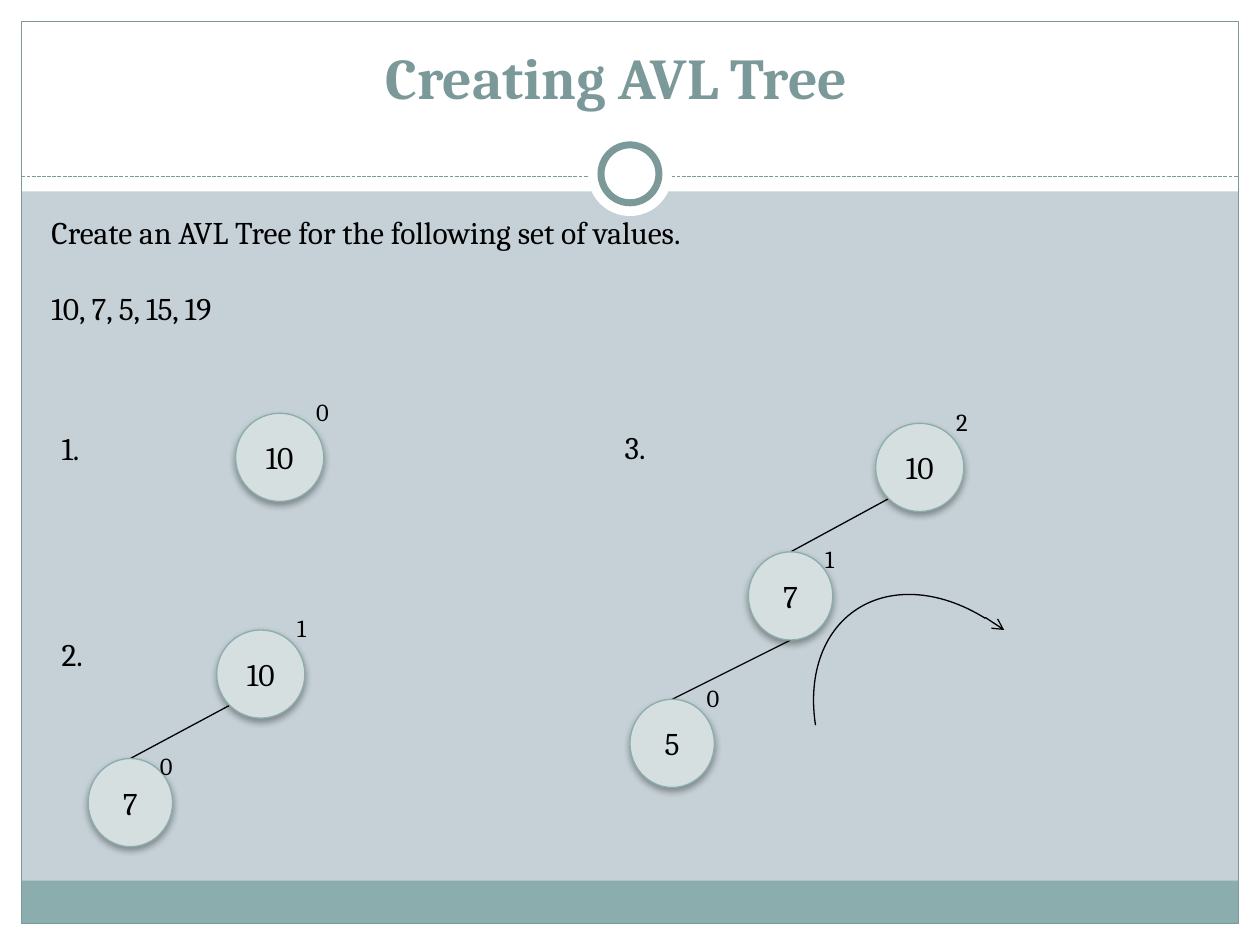
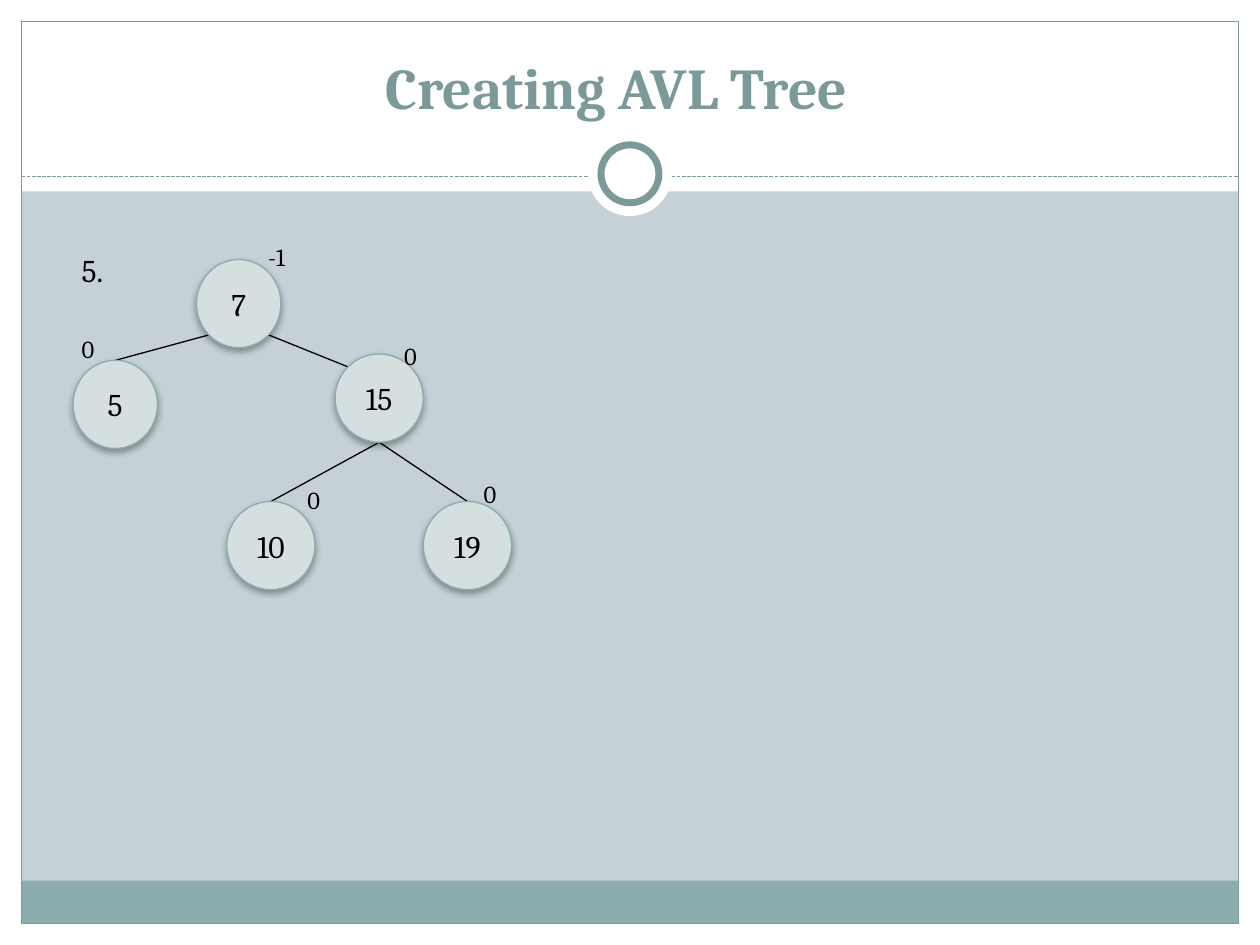
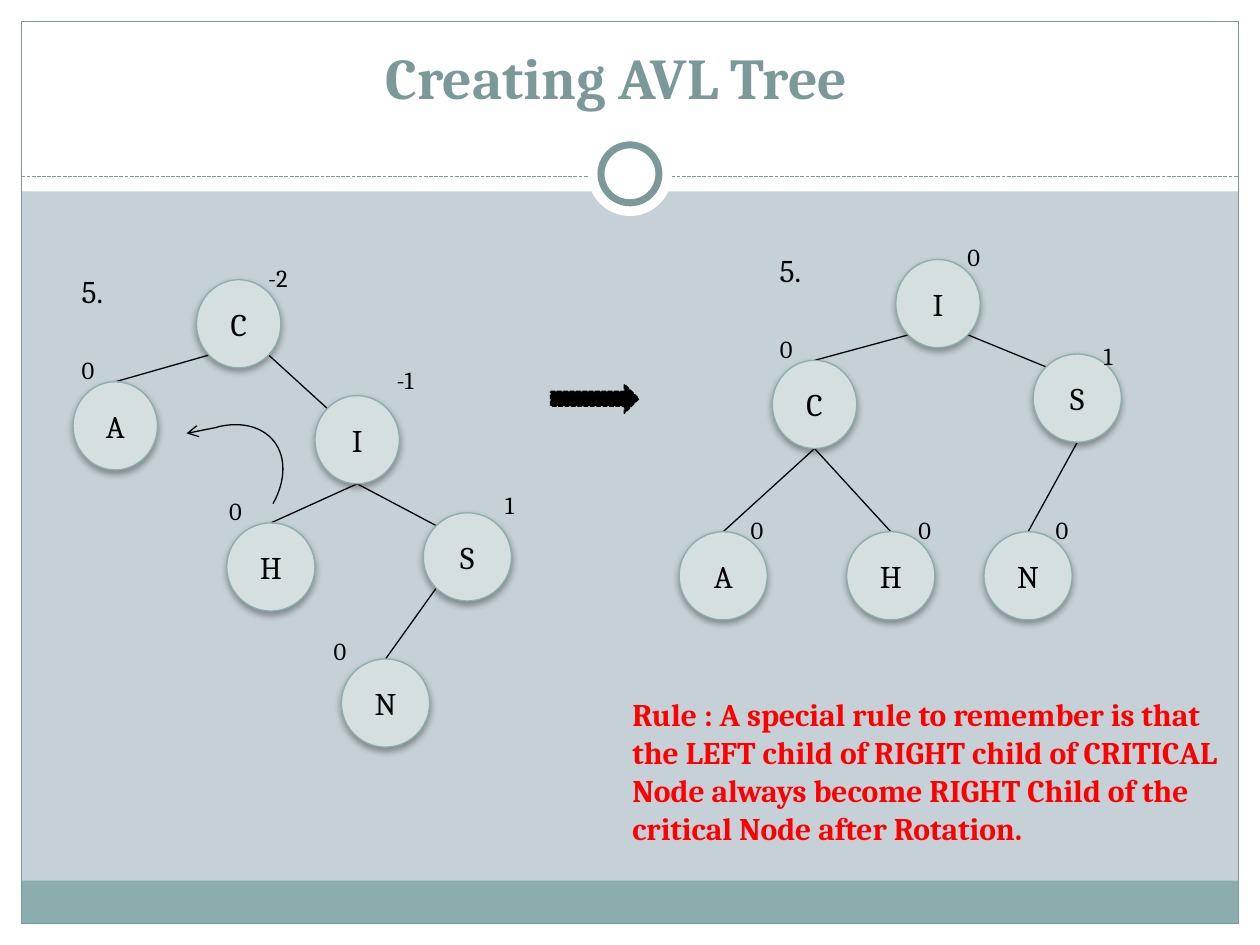
from collections import namedtuple

from lxml.etree import SubElement
from pptx import Presentation
from pptx.dml.color import RGBColor
from pptx.enum.dml import MSO_LINE
from pptx.enum.shapes import MSO_CONNECTOR, MSO_SHAPE
from pptx.enum.text import MSO_ANCHOR, MSO_AUTO_SIZE, PP_ALIGN
from pptx.oxml.ns import qn
from pptx.util import Inches, Pt

COLUMNS, ROWS = 100, 75
FONT = "Cambria"
WHITE, BLACK, RED = "FFFFFF", "000000", "FF0000"
GROUND, BAND, ACCENT, NODE_FILL = "C5D1D7", "8CADAE", "7C999A", "D5DFDF"
HAIRLINE = 0.75
NODE_HEIGHT = 7

Box = namedtuple("Box", "left top width height")
Node = namedtuple("Node", "left top width badge shift", defaults=[(5.4, -1.8)])

TOP, BOTTOM = (0, -1), (0, 1)
LOWER_LEFT, LOWER_RIGHT, UPPER_LEFT = (-0.71, 0.71), (0.71, 0.71), (-0.71, -0.71)


def cell(count):
    return Inches(count / 10)


def color(value):
    return RGBColor.from_string(value)


def apply(target, values):
    for name, value in values.items():
        setattr(target, name, value)


def style_line(line, line_color, weight, dash=None):
    line.color.rgb = color(line_color)
    line.width = Pt(weight)
    if dash:
        line.dash_style = dash


def add_figure(slide, kind, box, fill=None, line=None, weight=HAIRLINE, dash=None):
    shape = slide.shapes.add_shape(kind, *map(cell, box))
    shape.shadow.inherit = False
    if fill:
        shape.fill.solid()
        shape.fill.fore_color.rgb = color(fill)
    else:
        shape.fill.background()
    if line:
        style_line(shape.line, line, weight, dash)
    else:
        shape.line.fill.background()
    return shape


def add_line(slide, start, end, line=BLACK, dash=None, arrow=False):
    connector = slide.shapes.add_connector(
        MSO_CONNECTOR.STRAIGHT, *map(cell, (*start, *end)))
    style_line(connector.line, line, HAIRLINE, dash)
    properties = connector._element.spPr
    SubElement(properties, qn("a:effectLst"))
    if arrow:
        SubElement(properties.find(qn("a:ln")), qn("a:tailEnd"), type="arrow")


def write(shape, lines, size, text_color=BLACK, bold=False,
          align=PP_ALIGN.LEFT, gap=0, **frame_values):
    frame = shape.text_frame
    apply(frame, frame_values)
    for index, text in enumerate(lines):
        paragraph = frame.add_paragraph() if index else frame.paragraphs[0]
        paragraph.text = text
        paragraph.alignment = align
        if index:
            paragraph.space_before = Pt(gap)
        apply(paragraph.font, {"name": FONT, "size": Pt(size), "bold": bold})
        paragraph.font.color.rgb = color(text_color)


def add_text(slide, box, lines, size, word_wrap=True, **values):
    text_box = slide.shapes.add_textbox(*map(cell, box))
    write(text_box, lines, size, word_wrap=word_wrap, **values)


def add_tag(slide, left, top, text, size):
    width, height = (4, 4) if size == 18 else (2.8 + 0.4 * len(text), 3.4)
    add_text(slide, Box(left, top, width, height), [text], size,
             word_wrap=False, auto_size=MSO_AUTO_SIZE.SHAPE_TO_FIT_TEXT)


def add_soft_shadow(shape):
    effects = shape._element.spPr.find(qn("a:effectLst"))
    shadow = SubElement(effects, qn("a:outerShdw"), blurRad=str(Pt(4)),
                        dist=str(Pt(2)), dir="5400000", rotWithShape="0")
    tint = SubElement(shadow, qn("a:srgbClr"), val=BLACK)
    SubElement(tint, qn("a:alpha"), val="35000")


def add_node(slide, text, box):
    shape = add_figure(slide, MSO_SHAPE.OVAL, box, NODE_FILL, BAND)
    add_soft_shadow(shape)
    write(shape, [text], 18, align=PP_ALIGN.CENTER, word_wrap=True,
          vertical_anchor=MSO_ANCHOR.MIDDLE)


def site(box, direction):
    across, down = direction
    return (box.left + box.width * (1 + across) / 2,
            box.top + box.height * (1 + down) / 2)


def add_tree(slide, left, top, step, step_at, nodes, edges=()):
    add_tag(slide, left + step_at[0], top + step_at[1], step, 18)
    boxes = {name: Box(left + node.left, top + node.top, node.width, NODE_HEIGHT)
             for name, node in nodes.items()}
    for parent, parent_site, child, child_site in edges:
        add_line(slide, site(boxes[parent], parent_site),
                 site(boxes[child], child_site))
    for name, node in nodes.items():
        box = boxes[name]
        add_node(slide, name, box)
        add_tag(slide, box.left + node.shift[0], box.top + node.shift[1],
                node.badge, 14)


def add_rotation_arrow(slide, box, angle, start, end):
    arc = add_figure(slide, MSO_SHAPE.ARC, box, line=BLACK)
    arc.rotation = angle
    arc.adjustments[0], arc.adjustments[1] = 134.12, 193.08
    add_line(slide, start, end, arrow=True)


def add_frame(slide, margin=1.7):
    slide.background.fill.solid()
    slide.background.fill.fore_color.rgb = color(GROUND)
    inner_width, inner_height = COLUMNS - 2 * margin, ROWS - 2 * margin
    for box, fill in (
            (Box(0, ROWS - margin, COLUMNS, margin), WHITE),
            (Box(0, 0, COLUMNS, 15.2), WHITE),
            (Box(0, 0, margin, ROWS), WHITE),
            (Box(COLUMNS - margin, 0, margin, ROWS), WHITE),
            (Box(margin, ROWS - margin - 3.4, inner_width, 3.4), BAND)):
        add_figure(slide, MSO_SHAPE.RECTANGLE, box, fill)
    add_figure(slide, MSO_SHAPE.RECTANGLE,
               Box(margin, margin, inner_width, inner_height), line=ACCENT)
    add_line(slide, (margin, 14), (COLUMNS - margin, 14), ACCENT,
             MSO_LINE.SQUARE_DOT)
    for size, line in ((6.7, None), (4.6, ACCENT)):
        box = Box((COLUMNS - size) / 2, 13.8 - size / 2, size, size)
        add_figure(slide, MSO_SHAPE.OVAL, box, WHITE, line, 4)


def add_tree_slide(presentation, title_top=2.3):
    slide = presentation.slides.add_slide(presentation.slide_layouts[6])
    add_frame(slide)
    add_text(slide, Box(18.1, title_top, 61.7, 7), ["Creating AVL Tree"], 33,
             text_color=ACCENT, bold=True, align=PP_ALIGN.CENTER,
             vertical_anchor=MSO_ANCHOR.BOTTOM)
    return slide


def build_first_insertions(presentation):
    slide = add_tree_slide(presentation)
    add_text(slide, Box(3.1, 16.4, 94.5, 10.1),
             ["Create an AVL Tree for the following set of values.",
              "10, 7, 5, 15, 19"], 18, gap=21.7)
    add_tree(slide, 3.9, 31, "1.", (0, 2.6), {"10": Node(14.8, 1.8, 7, "0")})
    add_tree(slide, 3.9, 48.2, "2.", (0, 1.7), {
        "10": Node(13.3, 1.8, 7, "1"),
        "7": Node(3.1, 12, 6.7, "0", (4.7, -1.1)),
    }, [("10", LOWER_LEFT, "7", TOP)])
    add_tree(slide, 48.6, 31.8, "3.", (0, 1.7), {
        "10": Node(20.9, 1.8, 7, "2"),
        "7": Node(10.8, 12, 6.7, "1", (5.1, -1.1)),
        "5": Node(1.4, 23.7, 6.7, "0", (5.1, -1.8)),
    }, [("10", LOWER_LEFT, "7", TOP), ("7", BOTTOM, "5", TOP)])
    add_rotation_arrow(slide, Box(65.9, 46.1, 18.8, 25.9), 324.5,
                       (78.2, 49), (79.7, 50))


def build_balanced_tree(presentation):
    slide = add_tree_slide(presentation, 3.1)
    add_tree(slide, 5.5, 18.7, "5.", (0, 0.7), {
        "7": Node(10.1, 1.9, 6.7, "-1", (4.7, -1.9)),
        "5": Node(0.3, 9.9, 6.7, "0", (-0.3, -2.6)),
        "15": Node(21.1, 9.4, 7, "0", (4.5, -1.5)),
        "10": Node(12.5, 21.1, 7, "0"),
        "19": Node(28.1, 21.1, 7, "0", (3.8, -2.3)),
    }, [("7", LOWER_LEFT, "5", TOP), ("7", LOWER_RIGHT, "15", UPPER_LEFT),
        ("15", BOTTOM, "10", TOP), ("15", BOTTOM, "19", TOP)])


def build_rotation_rule(presentation):
    slide = add_tree_slide(presentation)
    add_tree(slide, 5.5, 20.4, "5.", (0, 0.7), {
        "C": Node(10.1, 1.8, 6.7, "-2", (4.7, -1.8)),
        "A": Node(0.3, 9.9, 6.7, "0", (-0.3, -2.6)),
        "I": Node(19.5, 11, 6.7, "-1", (5.5, -2.9)),
        "H": Node(12.5, 21.1, 7, "0", (-0.8, -2.6)),
        "S": Node(28.1, 20.3, 7, "1", (5.5, -2.3)),
        "N": Node(21.6, 31.9, 7, "0", (-1.6, -2.3)),
    }, [("C", LOWER_LEFT, "A", TOP), ("C", LOWER_RIGHT, "I", UPPER_LEFT),
        ("I", BOTTOM, "H", TOP), ("I", BOTTOM, "S", UPPER_LEFT),
        ("S", LOWER_LEFT, "N", TOP)])
    add_rotation_arrow(slide, Box(12.5, 32.7, 8.8, 12.4), 50.9,
                       (17.3, 33.9), (14.8, 34.4))
    add_figure(slide, MSO_SHAPE.RIGHT_ARROW, Box(43.7, 30.5, 7, 2.3),
               BLACK, BLACK, 0.9, MSO_LINE.SQUARE_DOT)
    leaf_shift = (4.7, -1.8)
    add_tree(slide, 53.9, 18.7, "5.", (7, 0.7), {
        "I": Node(17.2, 1.9, 6.7, "0", (4.7, -1.9)),
        "C": Node(7.4, 9.9, 6.7, "0", (-0.4, -2.6)),
        "S": Node(28.1, 9.4, 7, "1", (4.6, -1.5)),
        "A": Node(0, 23.5, 7, "0", leaf_shift),
        "H": Node(13.3, 23.5, 7, "0", leaf_shift),
        "N": Node(24.2, 23.5, 7, "0", leaf_shift),
    }, [("I", LOWER_LEFT, "C", TOP), ("I", LOWER_RIGHT, "S", UPPER_LEFT),
        ("C", BOTTOM, "A", TOP), ("C", BOTTOM, "H", TOP),
        ("S", BOTTOM, "N", TOP)])
    add_text(slide, Box(49.2, 54.7, 50.8, 16.2),
             ["Rule : A special rule to remember is that the LEFT child of "
              "RIGHT child of CRITICAL Node always become RIGHT Child of the "
              "critical Node after Rotation."], 18, text_color=RED, bold=True)


def main():
    presentation = Presentation()
    presentation.slide_width, presentation.slide_height = cell(COLUMNS), cell(ROWS)
    for build in (build_first_insertions, build_balanced_tree, build_rotation_rule):
        build(presentation)
    presentation.save("out.pptx")


if __name__ == "__main__":
    main()
